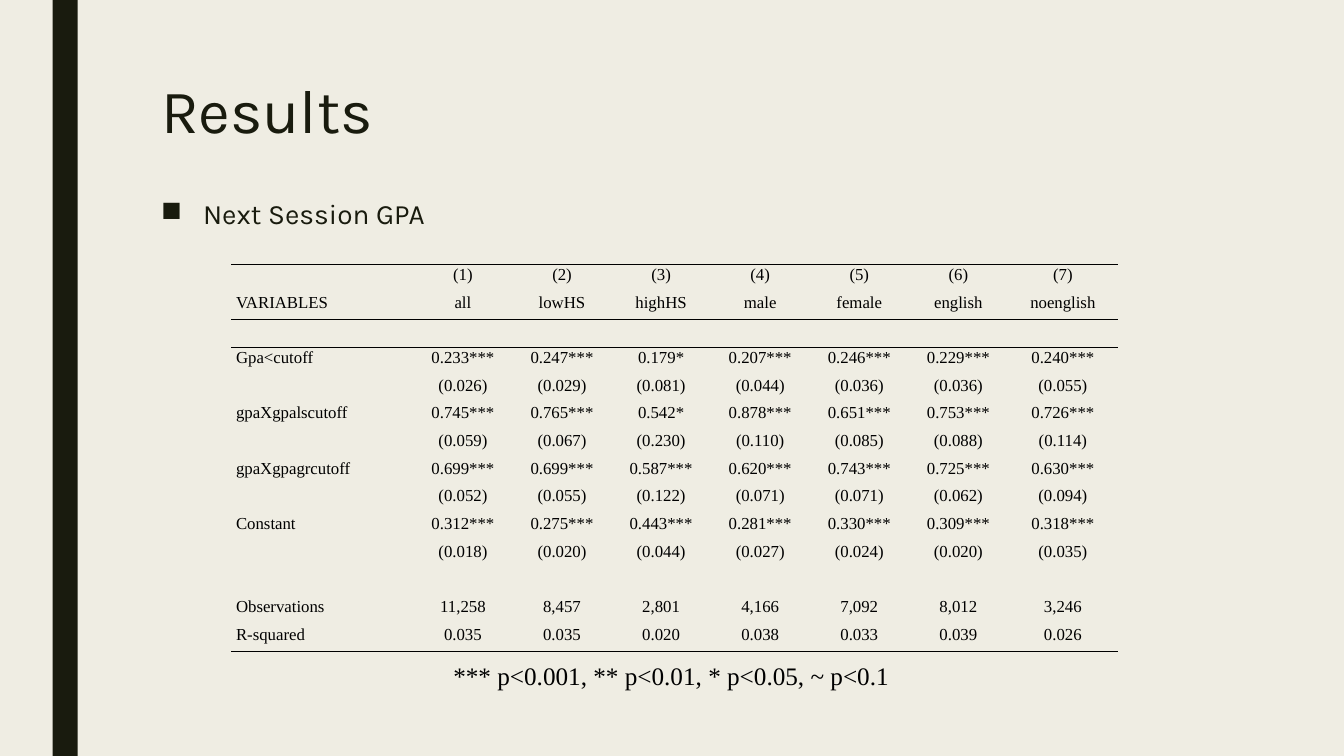
from lxml import etree
from pptx import Presentation
from pptx.dml.color import RGBColor
from pptx.enum.shapes import MSO_SHAPE as Shape
from pptx.enum.text import MSO_AUTO_SIZE as AutoSize, PP_ALIGN as Align
from pptx.oxml.ns import qn
from pptx.util import Pt

CREAM = RGBColor(0xEF, 0xED, 0xE3)
DARK = RGBColor(0x19, 0x1B, 0x0E)
BLACK = RGBColor(0, 0, 0)
HEADING_FONT, TABLE_FONT = "Karla", "Times New Roman"
PLAIN_TABLE_STYLE = "{2D5ABB26-0587-4C30-8999-92F81FD0307C}"

COLUMN_WIDTHS = [130.3] + [70.8] * 6 + [78.5]
RULES = {0: "lnT", 1: "lnB", 2: "lnT", 13: "lnB"}  # row: ruled side
RESULTS = [
    ["", "(1)", "(2)", "(3)", "(4)", "(5)", "(6)", "(7)"],
    ["VARIABLES", "all", "lowHS", "highHS", "male", "female", "english", "noenglish"],
    [""] * 8,
    ["Gpa<cutoff", "0.233***", "0.247***", "0.179*", "0.207***", "0.246***", "0.229***", "0.240***"],
    ["", "(0.026)", "(0.029)", "(0.081)", "(0.044)", "(0.036)", "(0.036)", "(0.055)"],
    ["gpaXgpalscutoff", "0.745***", "0.765***", "0.542*", "0.878***", "0.651***", "0.753***", "0.726***"],
    ["", "(0.059)", "(0.067)", "(0.230)", "(0.110)", "(0.085)", "(0.088)", "(0.114)"],
    ["gpaXgpagrcutoff", "0.699***", "0.699***", "0.587***", "0.620***", "0.743***", "0.725***", "0.630***"],
    ["", "(0.052)", "(0.055)", "(0.122)", "(0.071)", "(0.071)", "(0.062)", "(0.094)"],
    ["Constant", "0.312***", "0.275***", "0.443***", "0.281***", "0.330***", "0.309***", "0.318***"],
    ["", "(0.018)", "(0.020)", "(0.044)", "(0.027)", "(0.024)", "(0.020)", "(0.035)"],
    [""] * 8,
    ["Observations", "11,258", "8,457", "2,801", "4,166", "7,092", "8,012", "3,246"],
    ["R-squared", "0.035", "0.035", "0.020", "0.038", "0.033", "0.039", "0.026"],
]


def add_run(paragraph, text, size, font, color):
    run = paragraph.add_run()
    run.text = text
    run.font.size, run.font.name = Pt(size), font
    run.font.color.rgb = color


def add_text(slide, box, text, size, font, color, spacing, wrap=True):
    shape = slide.shapes.add_textbox(*map(Pt, box))
    shape.text_frame.word_wrap = wrap
    paragraph = shape.text_frame.paragraphs[0]
    paragraph.line_spacing = spacing
    add_run(paragraph, text, size, font, color)
    return shape


def add_side_bar(slide, box):
    bar = slide.shapes.add_shape(Shape.RECTANGLE, *map(Pt, box))
    bar.shadow.inherit = False
    bar.fill.solid()
    bar.fill.fore_color.rgb = DARK
    bar.line.fill.background()


def add_bullet(slide, box, text):
    shape = add_text(slide, box, text, 20, HEADING_FONT, DARK, 0.94)
    paragraph = shape.text_frame.paragraphs[0]
    paragraph.space_before, paragraph.space_after = Pt(10), Pt(2)
    # Hanging indent and square marker
    properties = paragraph._p.get_or_add_pPr()
    properties.set("marL", str(Pt(30)))
    properties.set("indent", str(-Pt(30)))
    etree.SubElement(properties, qn("a:buChar"), char="■")


def add_rule(cell, side):
    line = etree.Element(qn("a:" + side), w=str(Pt(1)))
    fill = etree.SubElement(line, qn("a:solidFill"))
    etree.SubElement(fill, qn("a:srgbClr"), val=str(BLACK))
    cell._tc.get_or_add_tcPr().insert(0, line)


def fill_cell(cell, text, align):
    cell.margin_left = cell.margin_right = Pt(3.6)
    cell.margin_top = cell.margin_bottom = 0
    cell.fill.background()
    paragraph = cell.text_frame.paragraphs[0]
    paragraph.alignment, paragraph.line_spacing = align, 1.07
    if text:
        add_run(paragraph, text, 12, TABLE_FONT, BLACK)
    else:  # keeps an empty row from growing
        etree.SubElement(paragraph._p, qn("a:endParaRPr"), sz="1200")


def add_results_table(slide, box):
    frame = slide.shapes.add_table(len(RESULTS), len(COLUMN_WIDTHS), *map(Pt, box))
    table = frame.table
    table.first_row = table.horz_banding = False
    table._tbl.tblPr.find(qn("a:tableStyleId")).text = PLAIN_TABLE_STYLE
    for column, width in zip(table.columns, COLUMN_WIDTHS):
        column.width = Pt(width)
    for r, values in enumerate(RESULTS):
        table.rows[r].height = Pt(box[3] / len(RESULTS))
        for c, text in enumerate(values):
            cell = table.cell(r, c)
            fill_cell(cell, text, Align.CENTER if c else Align.LEFT)
            if r in RULES:
                add_rule(cell, RULES[r])


def add_note(slide, box, text):
    shape = add_text(slide, box, text, 18, TABLE_FONT, BLACK, 1.07, wrap=False)
    shape.text_frame.auto_size = AutoSize.SHAPE_TO_FIT_TEXT
    shape.text_frame.paragraphs[0].alignment = Align.CENTER


def build_results_slide(presentation):
    slide = presentation.slides.add_slide(presentation.slide_layouts[6])
    slide.background.fill.solid()
    slide.background.fill.fore_color.rgb = CREAM
    add_side_bar(slide, (37.5, 0, 18, 540))
    add_text(slide, (108, 54, 756, 117), "Results", 44, HEADING_FONT, DARK, 0.89)
    add_bullet(slide, (108, 139, 756, 282), "Next Session GPA")
    add_results_table(slide, (165, 188.7, sum(COLUMN_WIDTHS), 277))
    add_note(slide, (315, 466.5, 329, 31), "*** p<0.001, ** p<0.01, * p<0.05, ~ p<0.1")


def main():
    presentation = Presentation()
    presentation.slide_width, presentation.slide_height = Pt(960), Pt(540)
    build_results_slide(presentation)
    presentation.save("out.pptx")


if __name__ == "__main__":
    main()
